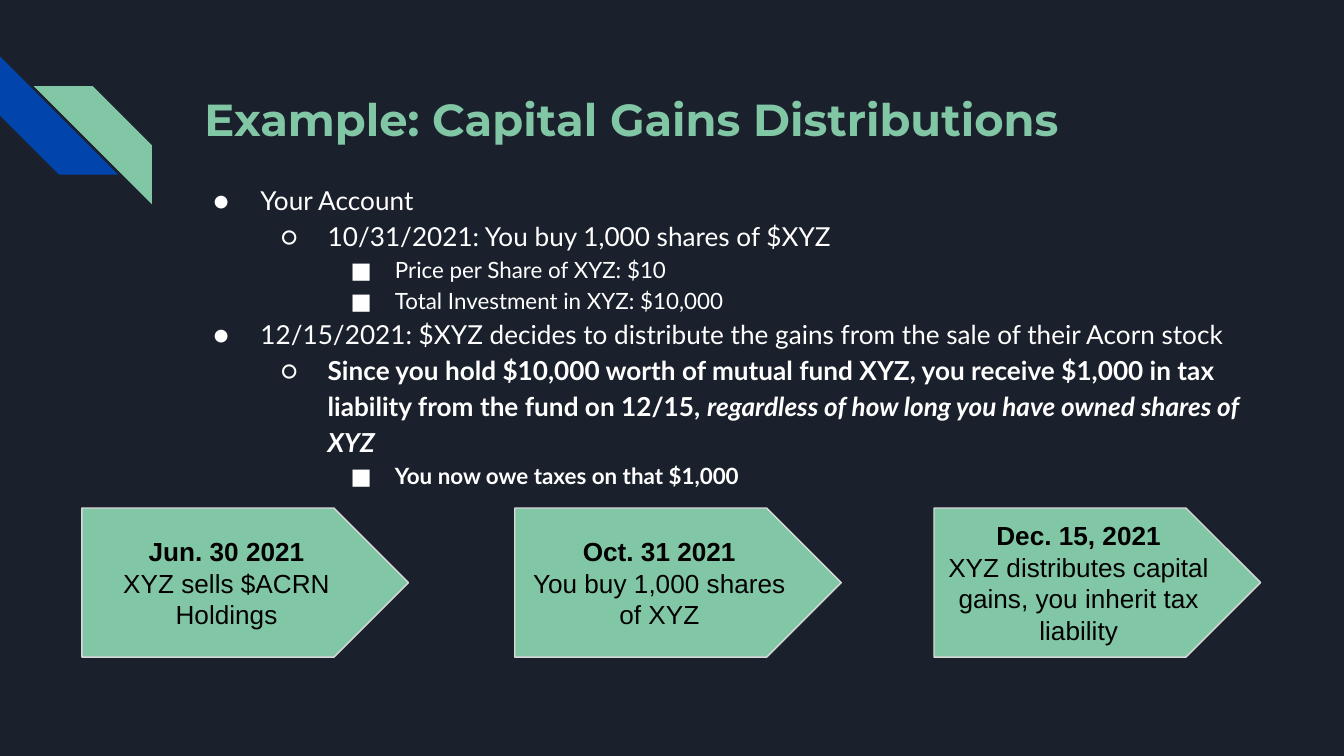
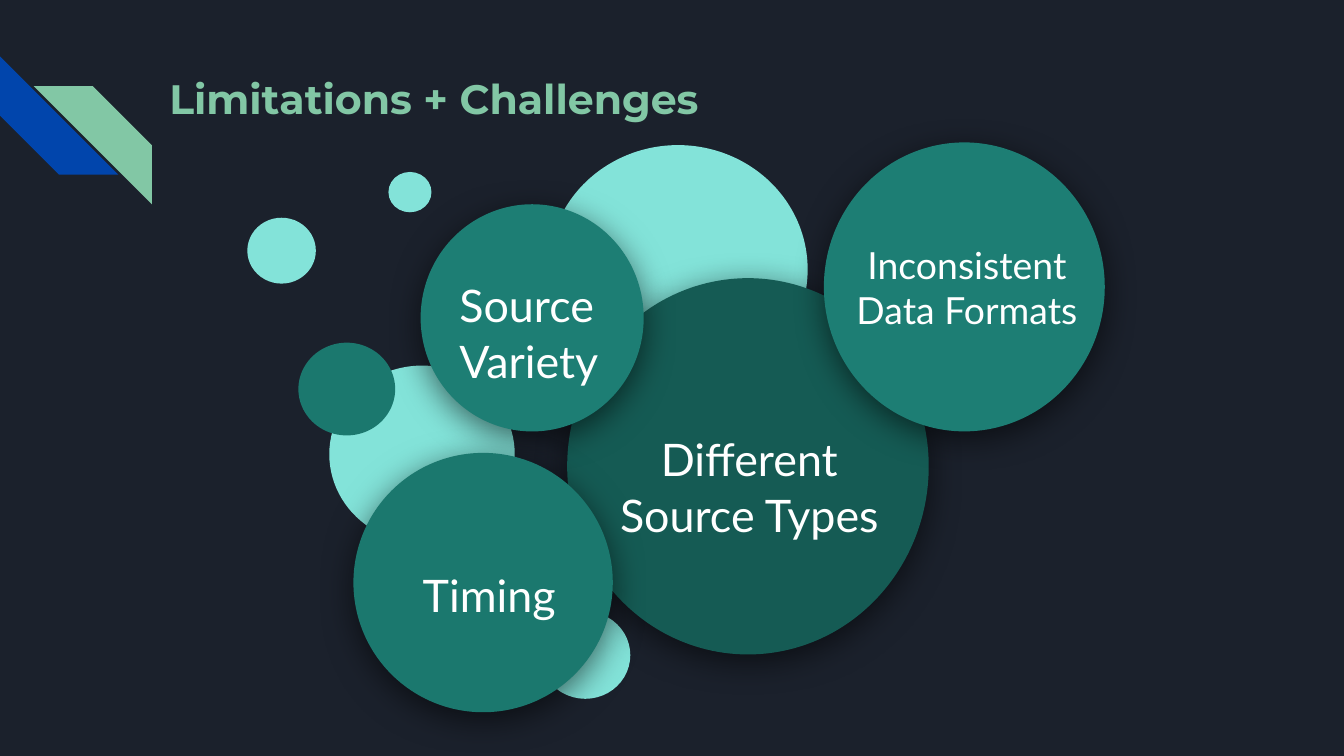
from typing import NamedTuple

from lxml.etree import SubElement
from pptx import Presentation
from pptx.dml.color import RGBColor
from pptx.enum.shapes import MSO_SHAPE
from pptx.enum.text import MSO_ANCHOR, MSO_AUTO_SIZE, PP_ALIGN
from pptx.oxml.ns import qn
from pptx.util import Inches, Pt

NAVY, BLUE, GREEN = "1B212C", "0145AC", "82C7A5"
AQUA, TEAL, MID_TEAL, DARK_TEAL = "83E3D9", "1B786E", "1D7E74", "155B54"
WHITE, BLACK, GREY = "FFFFFF", "000000", "D9D9D9"


class Box(NamedTuple):
    """A place on the slide, in inches."""
    left: float
    top: float
    width: float
    height: float

    def lengths(self) -> list:
        """Return the four lengths for python-pptx."""
        return [Inches(v) for v in self]


class Words(NamedTuple):
    """A stretch of text with its weight and slant."""
    text: str
    bold: bool = False
    italic: bool = False


class Level(NamedTuple):
    """The look of one outline level."""
    bullet: str
    margin: float
    hanging: float
    size: int


class Item(NamedTuple):
    """One outline paragraph."""
    level: int
    words: list[Words]


class Step(NamedTuple):
    """One arrow of the timeline."""
    left: float
    date: str
    event: str


class Dot(NamedTuple):
    """A plain decorative bubble."""
    box: Box
    color: str


class Bubble(NamedTuple):
    """A shadowed bubble and its label."""
    box: Box
    color: str
    label_box: Box
    label: str
    size: int = 24
    align: PP_ALIGN = PP_ALIGN.CENTER
    anchor: MSO_ANCHOR = MSO_ANCHOR.MIDDLE
    spacing: float = 1.05


LEVELS = [
    Level("●", 0.5, 0.35, 14),
    Level("○", 1.0, 0.35, 14),
    Level("■", 1.5, 0.33, 12),
]
OUTLINE = [
    Item(0, [Words("Your Account")]),
    Item(1, [Words("10/31/2021: You buy 1,000 shares of $XYZ")]),
    Item(2, [Words("Price per Share of XYZ: $10")]),
    Item(2, [Words("Total Investment in XYZ: $10,000")]),
    Item(0, [Words("12/15/2021: $XYZ decides to distribute the gains "
                   "from the sale of their Acorn stock")]),
    Item(1, [Words("Since you hold $10,000 worth of mutual fund XYZ, you receive "
                   "$1,000 in tax liability from the fund on 12/15, ", True),
             Words("regardless of how long you have owned shares of XYZ", True, True)]),
    Item(2, [Words("You now owe taxes on that $1,000", True)]),
]
STEPS = [
    Step(0.61, "Jun. 30 2021", "XYZ sells $ACRN Holdings"),
    Step(3.83, "Oct. 31 2021", "You buy 1,000 shares of XYZ"),
    Step(6.95, "Dec. 15, 2021", "XYZ distributes capital gains, you inherit tax liability"),
]
DOTS = [
    Dot(Box(4.02, 4.55, 0.67, 0.65), AQUA),
    Dot(Box(1.84, 1.62, 0.51, 0.49), AQUA),
    Dot(Box(2.45, 2.72, 1.38, 1.32), AQUA),
    Dot(Box(4.08, 1.08, 1.93, 1.85), AQUA),
    Dot(Box(2.22, 2.55, 0.72, 0.69), TEAL),
    Dot(Box(2.89, 1.28, 0.32, 0.3), AQUA),
]
BUBBLES = [
    Bubble(Box(4.22, 2.07, 2.69, 2.8), DARK_TEAL, Box(4.38, 3.09, 2.39, 1.47),
           "Different Source Types", anchor=MSO_ANCHOR.TOP),
    Bubble(Box(3.13, 1.52, 1.66, 1.69), MID_TEAL, Box(3.32, 1.85, 1.66, 1.23),
           "Source Variety", align=PP_ALIGN.LEFT),
    Bubble(Box(2.63, 3.37, 1.93, 1.93), TEAL, Box(2.83, 3.75, 1.62, 1.33), "Timing"),
    Bubble(Box(6.13, 1.06, 2.09, 2.15), MID_TEAL, Box(6.23, 1.61, 1.93, 1.05),
           "Inconsistent Data Formats", size=20, spacing=1.0),
]


def rgb(color: str) -> RGBColor:
    """Turn a hex string into a colour."""
    return RGBColor.from_string(color)


def add_run(p, words: Words, font: str, size: int, color: str) -> None:
    """Add one formatted run to a paragraph."""
    r = p.add_run()
    r.text = words.text
    r.font.name = font
    r.font.size = Pt(size)
    r.font.bold = words.bold
    r.font.italic = words.italic
    r.font.color.rgb = rgb(color)


def set_frame(tf, anchor: MSO_ANCHOR) -> None:
    """Give a text frame the shared insets and wrapping."""
    tf.word_wrap = True
    tf.auto_size = MSO_AUTO_SIZE.NONE
    tf.vertical_anchor = anchor
    tf.margin_left = tf.margin_right = tf.margin_top = tf.margin_bottom = Inches(0.1)


def add_shape(s, kind: MSO_SHAPE, box: Box, fill: str):
    """Add a filled shape with neither line nor shadow."""
    sp = s.shapes.add_shape(kind, *box.lengths())
    sp.fill.solid()
    sp.fill.fore_color.rgb = rgb(fill)
    sp.line.fill.background()
    sp.shadow.inherit = False
    return sp


def add_shadow(sp) -> None:
    """Cast a soft black shadow straight down."""
    effects = sp._element.spPr.find(qn("a:effectLst"))
    shadow = SubElement(effects, qn("a:outerShdw"), blurRad=str(Pt(18)),
                        dist=str(Pt(4)), dir="5400000", algn="t", rotWithShape="0")
    color = SubElement(shadow, qn("a:srgbClr"), val=BLACK)
    SubElement(color, qn("a:alpha"), val="55000")


def add_slide(prs, title: str, box: Box, size: int):
    """Add a slide with the corner stripes and a title."""
    s = prs.slides.add_slide(prs.slide_layouts[5])
    sp = add_shape(s, MSO_SHAPE.DIAGONAL_STRIPE, Box(0, 0.42, 0.88, 0.88), BLUE)
    sp.rotation = 270
    sp = add_shape(s, MSO_SHAPE.DIAGONAL_STRIPE, Box(0.25, 0.64, 0.88, 0.88), GREEN)
    sp._element.spPr.find(qn("a:xfrm")).set("flipH", "1")
    sp = s.shapes.title
    sp.left, sp.top, sp.width, sp.height = box.lengths()
    set_frame(sp.text_frame, MSO_ANCHOR.TOP)
    p = sp.text_frame.paragraphs[0]
    p.alignment = PP_ALIGN.LEFT
    add_run(p, Words(title, True), "Montserrat", size, GREEN)
    return s


def add_outline(s, box: Box, items: list[Item]) -> None:
    """Add a bulleted outline."""
    tf = s.shapes.add_textbox(*box.lengths()).text_frame
    set_frame(tf, MSO_ANCHOR.TOP)
    for i, item in enumerate(items):
        p = tf.add_paragraph() if i else tf.paragraphs[0]
        level = LEVELS[item.level]
        p.level = item.level
        p.line_spacing = 1.15
        pPr = p._p.get_or_add_pPr()
        pPr.set("marL", str(Inches(level.margin)))
        pPr.set("indent", str(-Inches(level.hanging)))
        SubElement(SubElement(pPr, qn("a:buClr")), qn("a:srgbClr"), val=WHITE)
        SubElement(pPr, qn("a:buFont"), typeface="Lato")
        SubElement(pPr, qn("a:buChar"), char=level.bullet)
        for words in item.words:
            add_run(p, words, "Lato", level.size, WHITE)


def add_step(s, step: Step) -> None:
    """Add one timeline arrow with its date and event."""
    sp = add_shape(s, MSO_SHAPE.PENTAGON, Box(step.left, 3.78, 2.43, 1.11), GREEN)
    sp.adjustments[0] = 0.5
    sp.line.color.rgb = rgb(GREY)
    sp.line.width = Pt(0.75)
    tf = sp.text_frame
    set_frame(tf, MSO_ANCHOR.MIDDLE)
    lines = [(tf.paragraphs[0], Words(step.date, True)),
             (tf.add_paragraph(), Words(step.event))]
    for p, words in lines:
        p.alignment = PP_ALIGN.CENTER
        add_run(p, words, "Arial", 14, BLACK)


def add_bubble(s, bubble: Bubble) -> None:
    """Add a shadowed bubble and its label."""
    add_shadow(add_shape(s, MSO_SHAPE.OVAL, bubble.box, bubble.color))
    tf = s.shapes.add_textbox(*bubble.label_box.lengths()).text_frame
    set_frame(tf, bubble.anchor)
    p = tf.paragraphs[0]
    p.alignment = bubble.align
    p.line_spacing = bubble.spacing
    p.space_after = Pt(12)
    add_run(p, Words(bubble.label), "Lato", bubble.size, WHITE)


def main() -> None:
    """Build and save the presentation."""
    prs = Presentation()
    prs.slide_width = Inches(10)
    prs.slide_height = Inches(10 * 9 / 16)
    background = prs.slide_master.background.fill
    background.solid()
    background.fore_color.rgb = rgb(NAVY)

    s = add_slide(prs, "Example: Capital Gains Distributions", Box(1.42, 0.58, 7.7, 1), 24)
    add_outline(s, Box(1.34, 1.24, 8.34, 2.72), OUTLINE)
    for step in STEPS:
        add_step(s, step)

    s = add_slide(prs, "Limitations + Challenges", Box(1.16, 0.45, 7.77, 1.05), 22)
    for dot in DOTS:
        add_shape(s, MSO_SHAPE.OVAL, dot.box, dot.color)
    for bubble in BUBBLES:
        add_bubble(s, bubble)

    prs.save("out.pptx")


if __name__ == "__main__":
    main()
